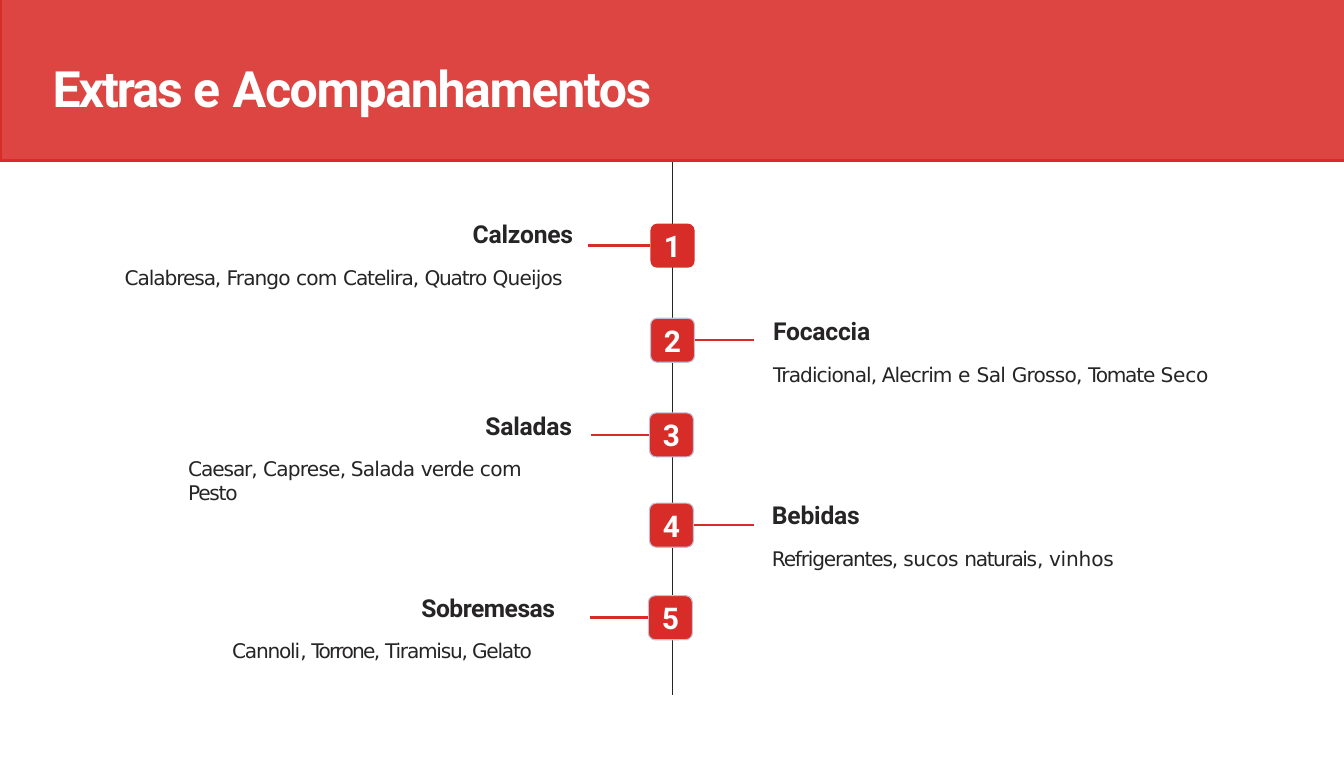
from dataclasses import dataclass
from lxml.etree import SubElement
from pptx import Presentation
from pptx.dml.color import RGBColor
from pptx.enum.shapes import MSO_CONNECTOR as Connector, MSO_SHAPE as Shape
from pptx.enum.text import MSO_ANCHOR as Anchor, PP_ALIGN as Align
from pptx.oxml.ns import qn
from pptx.util import Inches, Pt

RED = RGBColor(0xD8, 0x2C, 0x28)
BORDER = RGBColor(0xBF, 0xC1, 0xD7)
INK = RGBColor(0x26, 0x24, 0x24)
WHITE = RGBColor(0xFF, 0xFF, 0xFF)

TITLE = dict(name="Roboto", size=Pt(33.5), bold=True)
HEADING = dict(name="Roboto", size=Pt(16.5), bold=True)
NUMBER = dict(name="Roboto", size=Pt(20), bold=True)
DETAIL = dict(name="DejaVu Sans", size=Pt(13.5), bold=False)

BADGE_SIZE = 0.41
LEFT_SIDE, RIGHT_SIDE = 1, 3


@dataclass
class Extra:
    """A menu group; runs pair each piece of text with its letter spacing."""
    heading: str
    runs: list
    badge: tuple
    line_end: float
    text_box: tuple
    heading_format: dict
    heading_spacing: float = -0.1
    detail_format: tuple = (10.9, 1.0)
    border: bool = True


RIGHT_ALIGNED = dict(alignment=Align.RIGHT)

EXTRAS = [
    Extra("Calzones",
          [("Calabresa, ", -0.7), ("Frango ", -0.6), ("com ", -0.5),
           ("Catelira, ", -0.7), ("Quatro ", -0.8), ("Queijos", -0.5)],
          (6.05, 2.08), 5.47, (1.15, 2.02, 4.18, 0.68), RIGHT_ALIGNED, border=False),
    Extra("Focaccia",
          [("Tradicional, Alecrim ", -0.6), ("e ", -0.1), ("Sal ", -0.4),
           ("Grosso, ", -0.5), ("Tomate ", -0.8), ("Seco", -0.1)],
          (6.05, 2.96), 7.01, (7.18, 2.92, 4.31, 0.68), {}),
    Extra("Saladas",
          [("Caesar, ", -0.7), ("Caprese, ", -0.5), ("Salada ", -0.5),
           ("verde ", -0.6), ("com ", -0.4), ("Pesto", -0.8)],
          (6.04, 3.84), 5.5, (1.74, 3.8, 3.58, 0.68), RIGHT_ALIGNED),
    Extra("Bebidas",
          [("Refrigerantes, ", -0.8), ("sucos ", -0.3), ("naturais", -0.9),
           (", ", -0.6), ("vinhos", -0.1)],
          (6.04, 4.68), 7.01, (7.17, 4.63, 4.31, 0.64), {}, detail_format=(6.2, 1.3)),
    Extra("Sobremesas",
          [("Cannoli", -0.8), (",", -0.9), (" Torrone, ", -1.1),
           ("Tiramisu, Gelato", -0.8)],
          (6.03, 5.54), 5.49, (2.15, 5.49, 3.17, 0.68), dict(indent=1.77), -0.3),
]


def apply_format(target, values):
    for name, value in values.items():
        setattr(target, name, value)


def add_runs(paragraph, runs, font_format, color):
    for text, spacing in runs:
        run = paragraph.add_run()
        run.text = text
        apply_format(run.font, font_format)
        run.font.color.rgb = color
        run._r.get_or_add_rPr().set("spc", str(round(spacing * 100)))


def format_paragraph(paragraph, indent=0.01, **values):
    paragraph._p.get_or_add_pPr().set("marL", str(Inches(indent)))
    apply_format(paragraph, values)


def add_text_box(slide, box):
    frame = slide.shapes.add_textbox(*map(Inches, box)).text_frame
    apply_format(frame, dict(word_wrap=True, margin_left=0, margin_right=0,
                             margin_top=Inches(0.02), margin_bottom=0))
    return frame


def add_filled_shape(slide, kind, box):
    shape = slide.shapes.add_shape(kind, *map(Inches, box))
    shape.shadow.inherit = False
    shape.fill.solid()
    shape.fill.fore_color.rgb = RED
    return shape


def add_line(slide, start, end, color, width):
    line = slide.shapes.add_connector(Connector.STRAIGHT, *map(Inches, start + end))
    line.line.color.rgb = color
    line.line.width = Pt(width)
    SubElement(line._element.spPr, qn("a:effectLst"))
    return line


def add_header(slide):
    band = add_filled_shape(slide, Shape.RECTANGLE, (0, -0.02, 13.41, 1.51))
    band.line.color.rgb = RED
    band.line.width = Pt(2)
    color = band._element.spPr.find(qn("a:solidFill"))[0]
    SubElement(color, qn("a:alpha"), val="88000")

    paragraph = add_text_box(slide, (0.48, 0.51, 6.25, 0.58)).paragraphs[0]
    format_paragraph(paragraph, space_before=Pt(1.2))
    add_runs(paragraph, [("Extras ", -1.4), ("e ", 0), ("Acompanhamentos", -0.9)],
             TITLE, WHITE)


def add_badge(slide, number, extra):
    badge = add_filled_shape(slide, Shape.ROUNDED_RECTANGLE,
                             extra.badge + (BADGE_SIZE, BADGE_SIZE))
    badge.adjustments[0] = 0.15
    if extra.border:
        badge.line.color.rgb = BORDER
        badge.line.width = Pt(0.75)
    else:
        badge.line.fill.background()
    frame = badge.text_frame
    apply_format(frame, dict(margin_left=0, margin_right=0, margin_top=0,
                             margin_bottom=0, vertical_anchor=Anchor.MIDDLE))
    frame.paragraphs[0].alignment = Align.CENTER
    add_runs(frame.paragraphs[0], [(str(number), -0.5)], NUMBER, WHITE)
    return badge


def add_branch(slide, badge, extra):
    left, top = extra.badge
    middle = top + BADGE_SIZE / 2
    side = LEFT_SIDE if extra.line_end < left else RIGHT_SIDE
    branch = add_line(slide, (left, middle), (extra.line_end, middle), RED, 1.6)
    branch.begin_connect(badge, side)


def add_description(slide, extra):
    frame = add_text_box(slide, extra.text_box)
    heading = frame.paragraphs[0]
    format_paragraph(heading, space_before=Pt(1.4), **extra.heading_format)
    add_runs(heading, [(extra.heading, extra.heading_spacing)], HEADING, INK)

    detail = frame.add_paragraph()
    space_before, line_spacing = extra.detail_format
    format_paragraph(detail, space_before=Pt(space_before), line_spacing=line_spacing)
    add_runs(detail, extra.runs, DETAIL, INK)


def main():
    presentation = Presentation()
    presentation.slide_width = Inches(12.5)
    presentation.slide_height = Inches(7.05)
    slide = presentation.slides.add_slide(presentation.slide_layouts[6])

    add_line(slide, (6.25, 1.49), (6.25, 6.46), INK, 0.5)
    add_header(slide)
    for number, extra in enumerate(EXTRAS, start=1):
        badge = add_badge(slide, number, extra)
        add_branch(slide, badge, extra)
        add_description(slide, extra)

    presentation.save("out.pptx")


if __name__ == "__main__":
    main()
